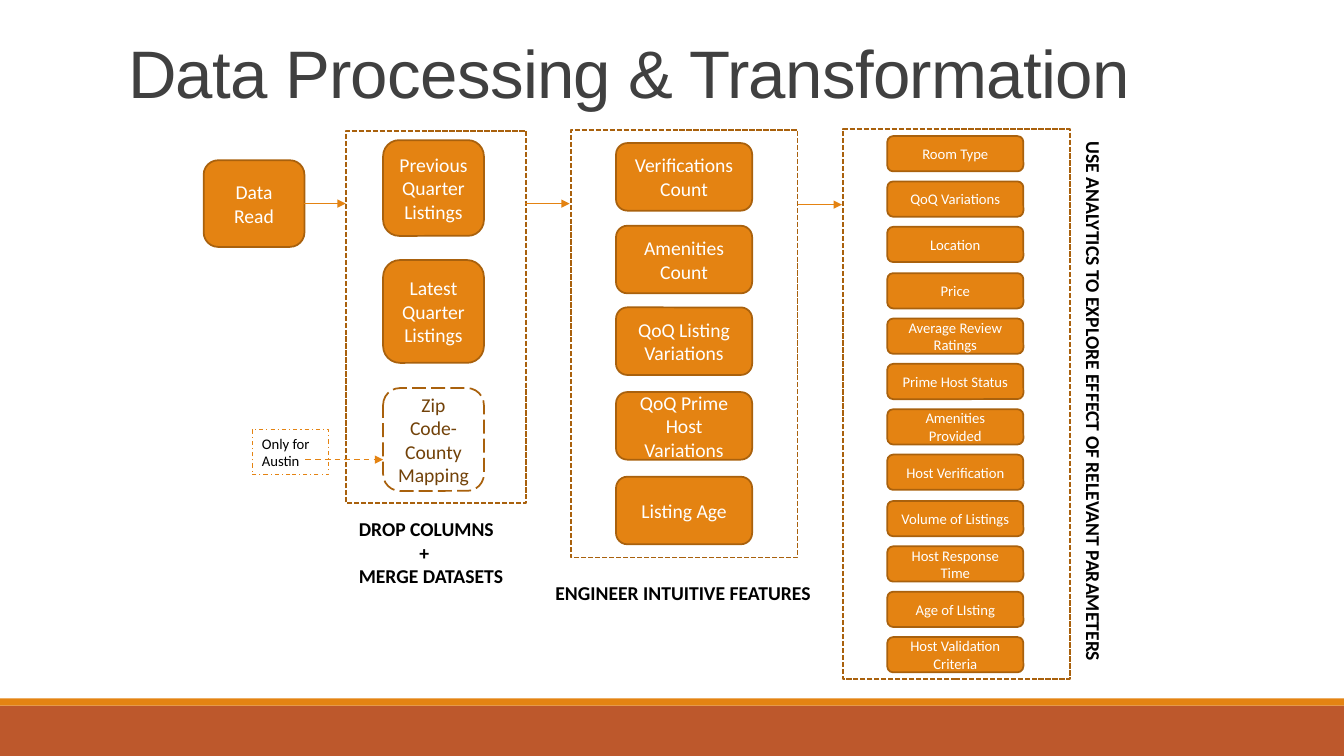
from pptx import Presentation
from pptx.dml.color import RGBColor
from pptx.enum.dml import MSO_LINE as Dash
from pptx.enum.shapes import MSO_CONNECTOR as Link, MSO_SHAPE as Kind
from pptx.enum.text import MSO_ANCHOR as Anchor, MSO_AUTO_SIZE as Fit, PP_ALIGN as Align
from pptx.oxml.ns import qn
from pptx.util import Pt
from lxml.etree import SubElement

PX = 9144
ORANGE, BROWN, RUST = "E48312", "A9610D", "BD582C"
BLACK, WHITE, GREY, DARK = "000000", "FFFFFF", "404040", "724209"
FEATURES = [
    (142, "Verifications\nCount"),
    (224, "Amenities Count"),
    (305, "QoQ Listing Variations"),
    (389, "QoQ Prime Host Variations"),
    (473, "Listing Age"),
]
FACTORS = [
    "Room Type", "QoQ Variations", "Location", "Price",
    "Average Review Ratings", "Prime Host Status", "Amenities Provided",
    "Host Verification", "Volume of Listings", "Host Response Time",
    "Age of LIsting", "Host Validation Criteria",
]


def tint(code):
    return RGBColor.from_string(code)


def emu(*sizes):
    return [size * PX for size in sizes]


def apply(item, style):
    for name, value in style.items():
        setattr(item, name, value)


def write(shape, text, size, color, align=Align.LEFT, anchor=Anchor.TOP,
          face="Calibri", bold=False):
    frame = shape.text_frame
    frame.text = text
    apply(frame, {"word_wrap": True, "auto_size": Fit.NONE,
                  "vertical_anchor": anchor})
    for para in frame.paragraphs:
        para.alignment = align
        for run in para.runs:
            apply(run.font, {"name": face, "size": Pt(size), "bold": bold})
            run.font.color.rgb = tint(color)
    return frame


def stroke(line, color, width, dash=None):
    line.color.rgb = tint(color)
    apply(line, {"width": Pt(width), "dash_style": dash})


def block(slide, kind, area, fill=None):
    shape = slide.shapes.add_shape(kind, *emu(*area))
    shape.shadow.inherit = False
    if fill:
        shape.fill.solid()
        shape.fill.fore_color.rgb = tint(fill)
    else:
        shape.fill.background()
    shape.line.fill.background()
    return shape


def step(slide, area, text, size=14, fill=ORANGE, color=WHITE, dash=None):
    shape = block(slide, Kind.ROUNDED_RECTANGLE, area, fill)
    stroke(shape.line, BROWN, 1.25, dash)
    write(shape, text, size, color, Align.CENTER, Anchor.MIDDLE)
    return shape


def group(slide, area):
    shape = block(slide, Kind.RECTANGLE, area)
    stroke(shape.line, BROWN, 1.25, Dash.SQUARE_DOT)


def label(slide, area, text, turn=0):
    box = slide.shapes.add_textbox(*emu(*area))
    box.rotation = turn
    return write(box, text, 14, BLACK, bold=True)


def arrow(slide, start, end, dash=None, source=None):
    line = slide.shapes.add_connector(Link.STRAIGHT, *emu(*start, *end))
    if source:
        line.begin_connect(source, 3)
    stroke(line.line, ORANGE, 1, dash)
    SubElement(line.line._get_or_add_ln(), qn("a:tailEnd"), type="triangle")
    SubElement(line._element.spPr, qn("a:effectLst"))


def header(slide, text):
    title = slide.shapes.title
    apply(title, dict(zip(("left", "top", "width", "height"),
                          emu(117, 11, 1100, 105))))
    frame = write(title, text, 48, GREY, anchor=Anchor.BOTTOM, face="Arial")
    para = frame.paragraphs[0]
    para.line_spacing = 0.85
    para.runs[0].font._element.set("spc", "-50")


def main():
    deck = Presentation()
    apply(deck, {"slide_width": 1333 * PX, "slide_height": 750 * PX})
    slide = deck.slides.add_slide(deck.slide_layouts[5])
    block(slide, Kind.RECTANGLE, (0, 700, 1333, 50), RUST)
    block(slide, Kind.RECTANGLE, (0, 693, 1333, 7), ORANGE)
    header(slide, "Data Processing & Transformation")

    read = step(slide, (202, 159, 100, 86), "Data Read")
    step(slide, (380, 139, 100, 95), "Previous Quarter Listings")
    step(slide, (380, 258, 100, 102), "Latest Quarter\nListings")
    step(slide, (380, 385, 100, 102), "Zip Code-County Mapping",
         fill=None, color=DARK, dash=Dash.LONG_DASH)
    group(slide, (343, 130, 179, 369))
    drop = label(slide, (346, 508, 168, 81),
                 "DROP COLUMNS\n+\nMERGE DATASETS")
    drop.paragraphs[1]._p.get_or_add_pPr().set("marL", str(60 * PX))

    for top, text in FEATURES:
        step(slide, (611, top, 135, 67), text)
    group(slide, (566, 129, 225, 424))
    label(slide, (541, 571, 285, 34), "ENGINEER INTUITIVE FEATURES")

    for row, text in enumerate(FACTORS):
        step(slide, (880, 135 + round(row * 45.2), 135, 35), text, 10.5)
    group(slide, (836, 128, 225, 546))
    label(slide, (813, 385, 543, 34),
          "USE ANALYTICS TO EXPLORE EFFECT OF RELEVANT PARAMETERS", 90)

    note = block(slide, Kind.RECTANGLE, (250, 426, 76, 45))
    stroke(note.line, ORANGE, 0.75, Dash.DASH_DOT)
    write(note, "Only for Austin", 10.5, BLACK)

    arrow(slide, (302, 202), (343, 202), source=read)
    arrow(slide, (521, 202), (565, 202))
    arrow(slide, (791, 203), (835, 203))
    arrow(slide, (303, 456), (380, 456), Dash.DASH)
    deck.save("out.pptx")


if __name__ == "__main__":
    main()
